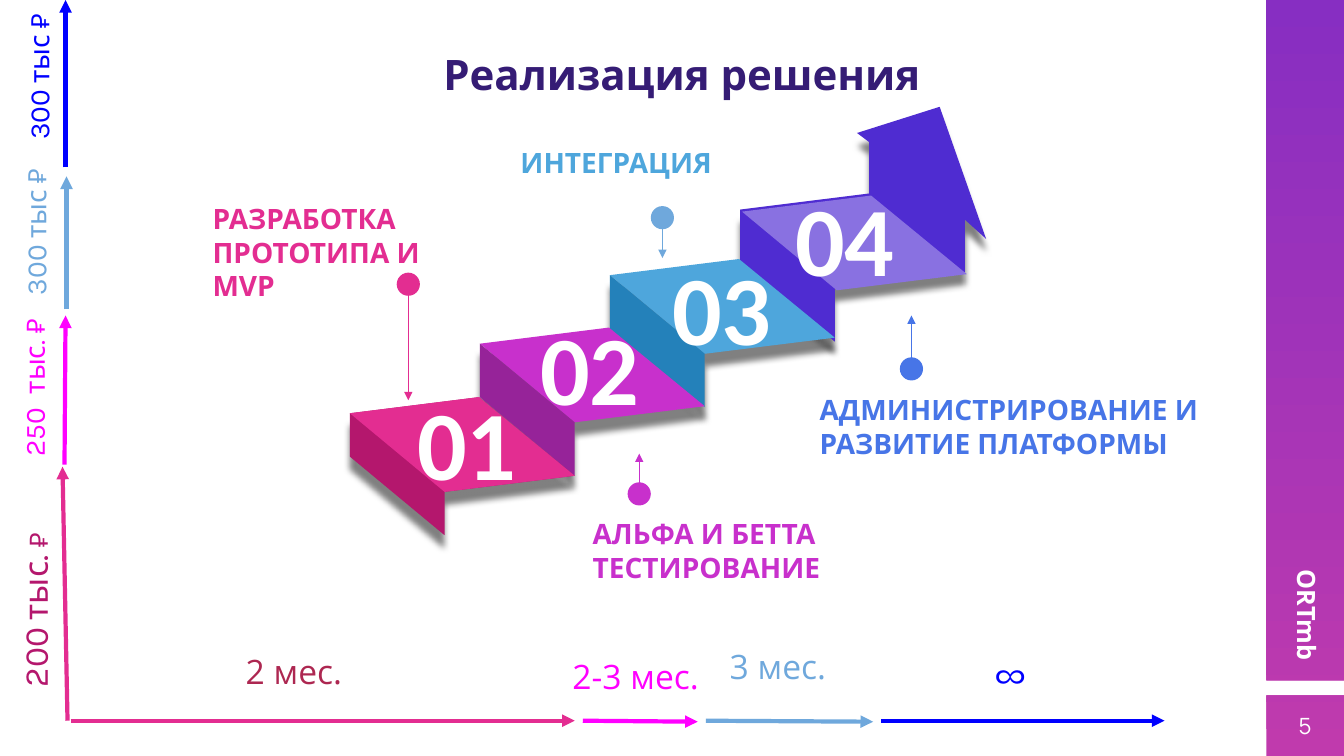
from lxml import etree
from pptx import Presentation
from pptx.dml.color import RGBColor
from pptx.enum.shapes import MSO_CONNECTOR, MSO_SHAPE
from pptx.enum.text import MSO_ANCHOR, PP_ALIGN
from pptx.oxml.ns import qn
from pptx.util import Cm, Pt

STRAIGHT, OVAL = MSO_CONNECTOR.STRAIGHT, MSO_SHAPE.OVAL
LEFT, MID, RIGHT = PP_ALIGN.LEFT, PP_ALIGN.CENTER, PP_ALIGN.RIGHT
TOP, CENTER, BASE = MSO_ANCHOR.TOP, MSO_ANCHOR.MIDDLE, MSO_ANCHOR.BOTTOM

HUES = {
    "white": "FFFFFF", "black": "000000", "title": "351C75",
    "pink": "E32D91", "wine": "B4176D", "berry": "AD2751",
    "plum": "C830CC", "grape": "962399", "neon": "FF00FF",
    "sky": "4EA6DC", "sea": "2481BA", "pale": "6FA8DC",
    "lilac": "8971E1", "violet": "4F2CD1", "azure": "4775E7",
    "blue": "0000FF", "bar_low": "C03AAD", "bar_top": "872EC2",
}


def cm(inch):
    """Turn inches into a Cm length."""
    return Cm(inch * 2.54)


def hue(name):
    """Look up a colour by name."""
    return RGBColor.from_string(HUES[name])


def write(frame, text, *, size, color, font="Open Sans", bold=False,
          align=LEFT, anchor=BASE, pad=(0.1, 0.05), space=None, sign=None):
    """Fill a text frame, one paragraph a line, with an optional end sign."""
    frame.word_wrap = True
    frame.vertical_anchor = anchor
    frame.margin_left = frame.margin_right = cm(pad[0])
    frame.margin_top = frame.margin_bottom = cm(pad[1])
    for i, line in enumerate(text.split("\n")):
        para = frame.add_paragraph() if i else frame.paragraphs[0]
        para.alignment = align
        if space:
            para.line_spacing = space
        parts = [(line, size, font)]
        if sign:
            parts.append((sign, 18, "Arial"))
        for words, points, face in parts:
            run = para.add_run()
            run.text = words
            run.font.size, run.font.name = Pt(points), face
            run.font.bold = bold
            run.font.color.rgb = hue(color)


class Deck:
    """Holds the file, the current slide and the shared style."""

    def __init__(self, wide, high):
        """Open a file with one blank slide."""
        self.file = Presentation()
        self.file.slide_width, self.file.slide_height = cm(wide), cm(high)
        self.slide = self.file.slides.add_slide(self.file.slide_layouts[6])
        self.shapes = self.slide.shapes

    def label(self, text, x, y, w, h, turn=0, **style):
        """Add a text box."""
        box = self.shapes.add_textbox(cm(x), cm(y), cm(w), cm(h))
        box.rotation = turn
        write(box.text_frame, text, **style)

    def arrow(self, start, end, color, width=3):
        """Add a straight arrow."""
        line = self.shapes.add_connector(
            STRAIGHT, *[cm(v) for v in (*start, *end)])
        line.line.color.rgb = hue(color)
        line.line.width = Pt(width)
        etree.SubElement(line.line._get_or_add_ln(), qn("a:tailEnd"),
                         type="triangle")
        etree.SubElement(line._element.spPr, qn("a:effectLst"))

    def pin(self, x, y, tip, color):
        """Add a dot with a thin arrow that ends at height tip."""
        size = 0.23
        self.arrow((x, y), (x, tip), color, 0.75)
        dot = self.shapes.add_shape(OVAL, cm(x - size / 2), cm(y - size / 2),
                                    cm(size), cm(size))
        self.paint(dot, color)

    def paint(self, shape, color):
        """Give a shape a plain fill, no line and no shadow."""
        shape.shadow.inherit = False
        shape.line.fill.background()
        shape.fill.solid()
        shape.fill.fore_color.rgb = hue(color)

    def shade(self, shape):
        """Drop a soft shadow below a shape."""
        effects = shape._element.spPr.find(qn("a:effectLst"))
        cast = etree.SubElement(effects, qn("a:outerShdw"), dir="5400000",
                                blurRad=str(Pt(4.5)), dist=str(Pt(9)),
                                algn="t", rotWithShape="0")
        tint = etree.SubElement(cast, qn("a:srgbClr"), val=HUES["black"])
        etree.SubElement(tint, qn("a:alpha"), val="50000")

    def form(self, *rings, color, shadow=True):
        """Add one outline made of closed rings of points."""
        pen = None
        for ring in rings:
            first, *rest = [(cm(x), cm(y)) for x, y in ring]
            if pen:
                pen.move_to(*first)
            else:
                pen = self.shapes.build_freeform(*first)
            pen.add_line_segments(rest, close=True)
        shape = pen.convert_to_shape()
        self.paint(shape, color)
        if shadow:
            self.shade(shape)
        return shape

    def sidebar(self):
        """Add the split gradient bar on the right."""
        x, end = 12.56, 13.33
        rings = [[(x, a), (end, a), (end, b), (x, b)]
                 for a, b in ((0, 6.75), (6.9, 7.5))]
        bar = self.form(*rings, color="bar_low", shadow=False)
        bar.fill.gradient()
        bar.fill.gradient_angle = 90
        for stop, name in zip(bar.fill.gradient_stops, ("bar_low", "bar_top")):
            stop.color.rgb = hue(name)


def tread(x, y):
    """Corners of a step's top, from its back right corner."""
    return [(x, y), (x - 1.28, y + 0.16), (x - 0.34, y + 0.94),
            (x + 0.95, y + 0.78)]


def riser(x, y, drop=0.53):
    """Corners of a step's front wall."""
    _, back, front, _ = tread(x, y)
    return [back, front, (front[0], front[1] + drop),
            (back[0], back[1] + drop)]


def stairs(deck):
    """Draw the ribbon of four steps, the last one first."""
    head = [(9.32, 1.06), (9.78, 2.37), (9.57, 2.18), (9.57, 2.7),
            (8.28, 2.86), (7.34, 2.08), (8.62, 1.92), (8.62, 1.41),
            (8.5, 1.32)]
    deck.form(riser(8.62, 1.92), head, color="violet")
    deck.form(tread(8.64, 1.94), color="lilac", shadow=False)
    for x, y, top, wall in ((7.33, 2.57, "sky", "sea"),
                            (6.04, 3.25, "plum", "grape")):
        deck.form(tread(x, y), color=top)
        deck.form(riser(x, y), color=wall)
    base = (4.75, 3.94)
    back, left, front, right = tread(*base)
    low = riser(*base, drop=0.43)
    deck.form([back, right, front, low[2], low[3], left], color="wine")
    deck.form(tread(*base), color="pink", shadow=False)
    spots = [(4.63, 4.38), (5.85, 3.63), (7.16, 3.04), (8.38, 2.35)]
    for i, (x, y) in enumerate(spots, 1):
        deck.label(f"{i:02}", x - 0.6, y - 0.65, 1.2, 1.3, size=70,
                   font="Calibri", color="white", bold=True, align=MID,
                   anchor=CENTER, pad=(0, 0.05))


def main():
    """Build the slide and save it."""
    deck = Deck(13.33, 7.5)
    deck.sidebar()
    deck.label("Реализация решения", 0.58, 0.18, 12.37, 0.85, size=30,
               color="title", bold=True, align=MID, anchor=TOP, space=1.5)

    for text, x, y, w, h, color, align in (
            ("РАЗРАБОТКА\nПРОТОТИПА И MVP", 2.01, 1.95, 2.89, 1.1, "pink", LEFT),
            ("АЛЬФА И БЕТТА\nТЕСТИРОВАНИЕ", 5.78, 5.07, 2.89, 0.77, "plum", LEFT),
            ("ИНТЕГРАЦИЯ", 2.82, 1.42, 4.34, 0.41, "sky", RIGHT),
            ("АДМИНИСТРИРОВАНИЕ И РАЗВИТИЕ ПЛАТФОРМЫ", 8.03, 3.51, 4.19, 1.1,
             "azure", LEFT)):
        deck.label(text, x, y, w, h, size=20, color=color, bold=True,
                   align=align)

    for x, y, tip, color in ((4.05, 2.82, 3.97, "pink"),
                             (6.34, 4.9, 4.5, "plum"),
                             (6.57, 2.16, 2.56, "pale"),
                             (9.04, 3.66, 3.13, "azure")):
        deck.pin(x, y, tip, color)

    for start, end, color in (
            ((0.7, 7.15), (5.7, 7.15), "pink"),
            ((5.78, 7.15), (6.92, 7.16), "neon"),
            ((7, 7.15), (8.66, 7.16), "pale"),
            ((8.74, 7.15), (11.55, 7.15), "blue"),
            ((0.67, 7.15), (0.62, 4.63), "pink"),
            ((0.64, 4.61), (0.65, 3.13), "neon"),
            ((0.66, 3.07), (0.66, 1.75), "pale"),
            ((0.65, 1.66), (0.65, 0), "blue")):
        deck.arrow(start, end, color)

    for text, x, y, color in (("2 мес.", 1.47, 6.41, "berry"),
                              ("2-3 мес.", 4.86, 6.46, "neon"),
                              ("3 мес.", 6.27, 6.36, "pale")):
        deck.label(text, x, y, 2.89, 0.5, size=24, color=color, align=MID)
    deck.label("∞", 9.78, 6.34, 0.49, 0.63, size=32, font="Karla",
               color="blue", align=RIGHT)

    for text, x, y, w, size, color in (
            ("200 тыс. ", -0.64, 5.92, 1.96, 24, "wine"),
            ("250  тыс. ", -0.7, 3.82, 2, 20, "neon"),
            ("300 тыс ", -0.54, 2.18, 1.71, 20, "pale"),
            ("300 тыс ", -0.51, 0.64, 1.71, 20, "blue")):
        deck.label(text, x, y, w, 0.5, turn=270, size=size, font="Karla",
                   color=color, align=RIGHT, sign="₽")

    stairs(deck)
    deck.label("ORTmb", 12.24, 5.7, 1.15, 0.8, turn=90, size=18,
               color="white", bold=True, align=MID, anchor=TOP,
               pad=(0.1, 0.1))
    deck.label("5", 12.56, 6.9, 0.77, 0.6, size=16, font="Manrope",
               color="white", align=MID, anchor=CENTER)
    deck.file.save("out.pptx")


main()
